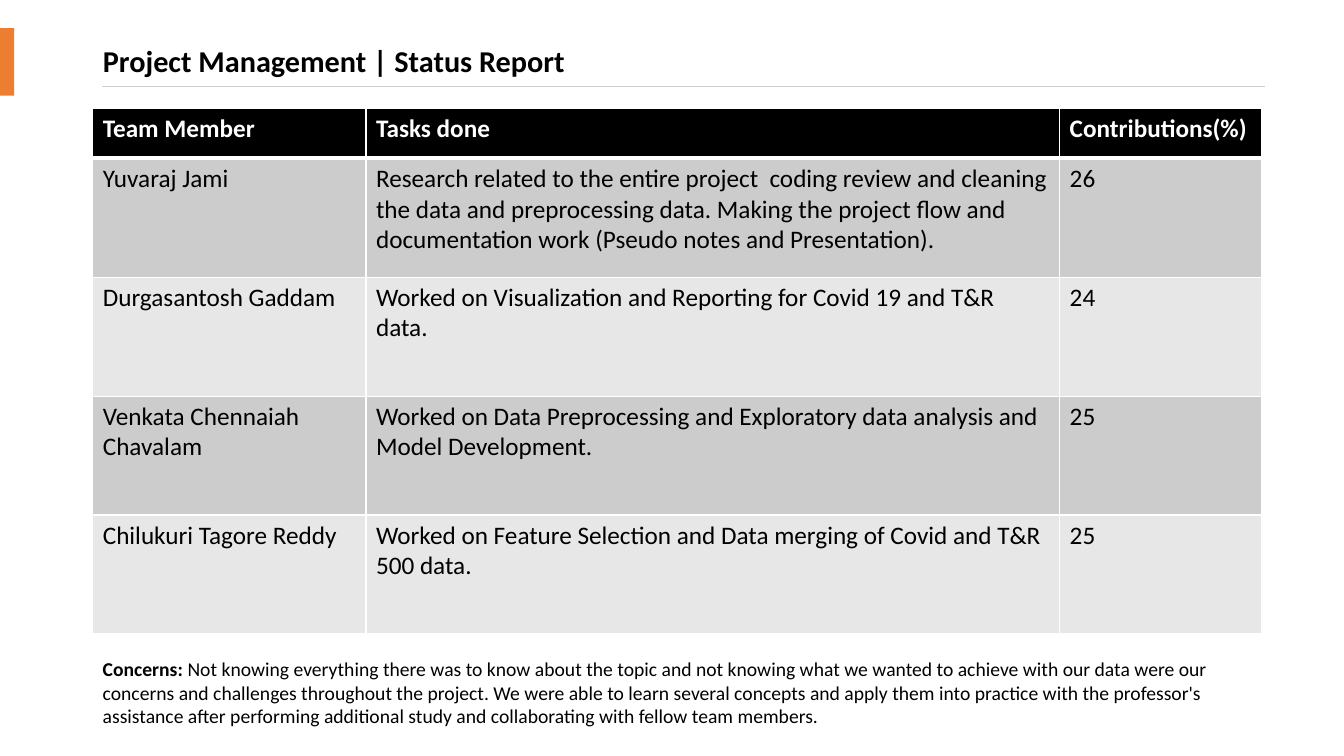
"""Build the project status report slide."""
from dataclasses import dataclass

from lxml import etree
from pptx import Presentation
from pptx.dml.color import RGBColor
from pptx.enum.shapes import MSO_CONNECTOR, MSO_SHAPE
from pptx.enum.text import MSO_ANCHOR, MSO_AUTO_SIZE, PP_ALIGN
from pptx.oxml.ns import qn
from pptx.util import Inches, Pt

LEFT, MIDDLE = PP_ALIGN.LEFT, MSO_ANCHOR.MIDDLE
FIT, FIXED = MSO_AUTO_SIZE.SHAPE_TO_FIT_TEXT, MSO_AUTO_SIZE.NONE
RECT, STRAIGHT = MSO_SHAPE.RECTANGLE, MSO_CONNECTOR.STRAIGHT
FONT = "Calibri"
COLORS = {
    "black": "000000", "white": "FFFFFF", "orange": "ED7D31",
    "rule": "D0CECE", "dark": "CCCCCC", "light": "E7E7E7",
}
EDGE, WIDTH = 0.92, 11.58
COLS = (2.71, 6.88, 2)
HEAD_TALL, ROW_TALL = 0.49, 1.18


@dataclass(frozen=True)
class Row:
    name: str
    tasks: str
    share: str


HEAD = Row("Team Member", "Tasks done", "Contributions(%)")
TEAM = (
    Row("Yuvaraj Jami",
        "Research related to the entire project  coding review and cleaning the data and "
        "preprocessing data. Making the project flow and documentation work "
        "(Pseudo notes and Presentation).", "26"),
    Row("Durgasantosh Gaddam",
        "Worked on Visualization and Reporting for Covid 19 and T&R data.", "24"),
    Row("Venkata Chennaiah Chavalam",
        "Worked on Data Preprocessing and Exploratory data analysis and "
        "Model Development.", "25"),
    Row("Chilukuri Tagore Reddy",
        "Worked on Feature Selection and Data merging of Covid and T&R 500 data.", "25"),
)
CONCERNS = (
    "Not knowing everything there was to know about the topic and not knowing what we "
    "wanted to achieve with our data were our concerns and challenges throughout the "
    "project. We were able to learn several concepts and apply them into practice with "
    "the professor's assistance after performing additional study and collaborating "
    "with fellow team members."
)


def paint(name: str) -> RGBColor:
    return RGBColor.from_string(COLORS[name])


def add_run(para, text: str, size: float, color: str = "black", bold: bool = False) -> None:
    run = para.add_run()
    run.text = text
    font = run.font
    font.name, font.size, font.bold = FONT, Pt(size), bold
    font.color.rgb = paint(color)


def add_title(slide) -> None:
    title = slide.shapes.title
    title.left, title.top = Inches(EDGE), Inches(0.4)
    title.width, title.height = Inches(11.5), Inches(0.44)
    frame = title.text_frame
    frame.auto_size, frame.vertical_anchor = FIXED, MIDDLE
    frame.word_wrap = True
    para = frame.paragraphs[0]
    para.alignment, para.line_spacing = LEFT, 0.9
    add_run(para, "Project Management | Status Report", 21.6, bold=True)


def add_accent(slide) -> None:
    accent = slide.shapes.add_shape(RECT, 0, Inches(0.28), Inches(0.14), Inches(0.67))
    accent.shadow.inherit = False
    accent.fill.solid()
    accent.fill.fore_color.rgb = paint("orange")
    accent.line.fill.background()


def add_rule(slide) -> None:
    rule = slide.shapes.add_connector(
        STRAIGHT, Inches(1.01), Inches(0.86), Inches(12.55), Inches(0.86))
    rule.line.color.rgb = paint("rule")
    rule.line.width = Pt(0.5)
    etree.SubElement(rule.element.spPr, qn("a:effectLst"))


def add_edges(cell, base: float) -> None:
    props = cell.fill._xPr
    edges = {"lnL": 1, "lnR": 1, "lnT": 1, "lnB": base}
    for spot, (tag, width) in enumerate(edges.items()):
        line = etree.Element(qn(f"a:{tag}"), w=str(Pt(width)))
        solid = etree.SubElement(line, qn("a:solidFill"))
        etree.SubElement(solid, qn("a:srgbClr"), val=COLORS["white"])
        props.insert(spot, line)


def add_team(slide) -> None:
    rows = (HEAD, *TEAM)
    tall = HEAD_TALL + ROW_TALL * len(TEAM)
    grid = slide.shapes.add_table(
        len(rows), len(COLS), Inches(EDGE), Inches(1.08), Inches(WIDTH), Inches(tall)).table
    for col, width in zip(grid.columns, COLS):
        col.width = Inches(width)
    for index, row in enumerate(rows):
        head = index == 0
        grid.rows[index].height = Inches(HEAD_TALL if head else ROW_TALL)
        fill = "black" if head else "dark" if index % 2 else "light"
        for cell, text in zip(grid.rows[index].cells, (row.name, row.tasks, row.share)):
            cell.fill.solid()
            cell.fill.fore_color.rgb = paint(fill)
            add_edges(cell, 3 if head else 1)
            add_run(cell.text_frame.paragraphs[0], text, 18,
                    "white" if head else "black", head)


def add_note(slide) -> None:
    frame = slide.shapes.add_textbox(
        Inches(EDGE), Inches(6.47), Inches(WIDTH), Inches(0.81)).text_frame
    frame.word_wrap, frame.auto_size = True, FIT
    para = frame.paragraphs[0]
    add_run(para, "Concerns: ", 14, bold=True)
    add_run(para, CONCERNS, 14)


def main() -> None:
    deck = Presentation()
    deck.slide_width, deck.slide_height = Inches(13.33), Inches(7.5)
    slide = deck.slides.add_slide(deck.slide_layouts[5])
    for draw in (add_title, add_accent, add_rule, add_team, add_note):
        draw(slide)
    deck.save("out.pptx")


if __name__ == "__main__":
    main()
